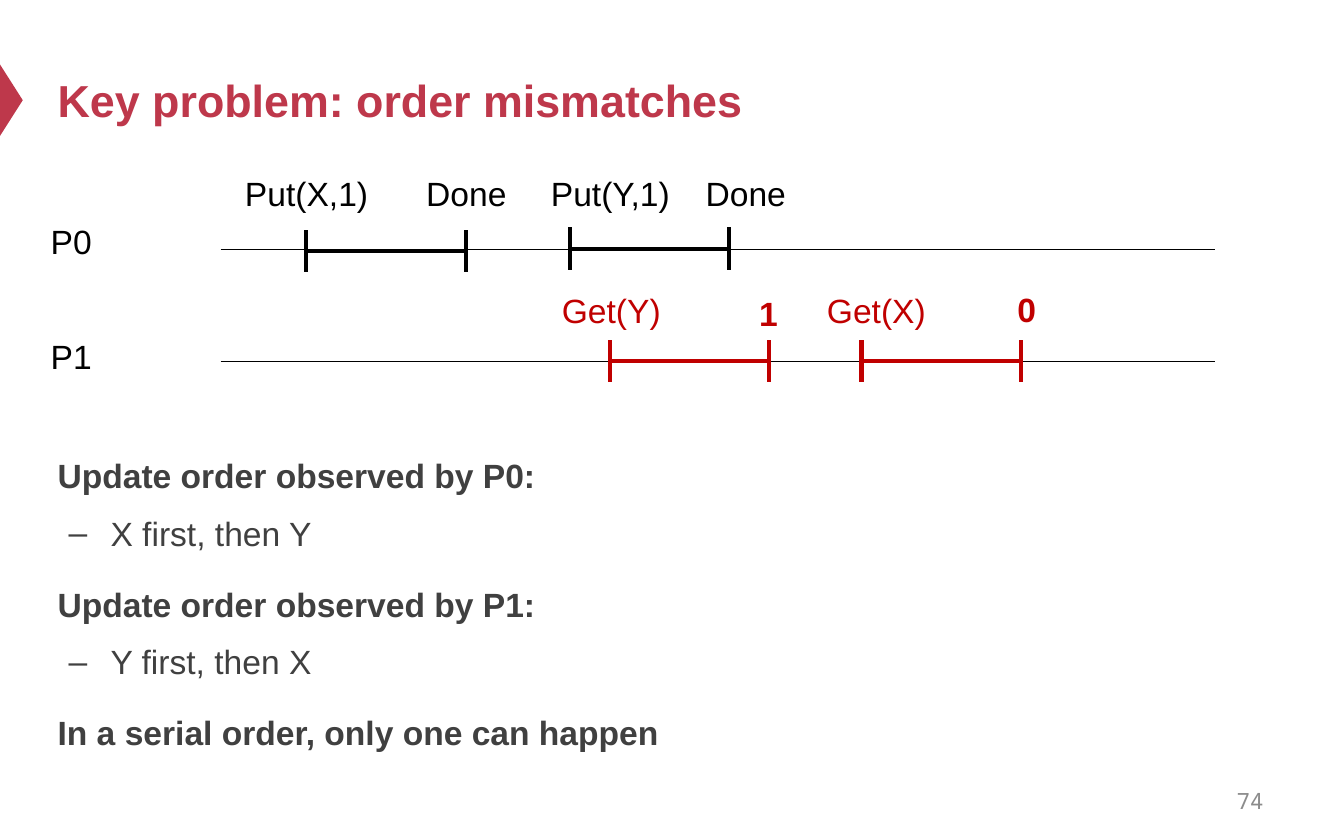
from dataclasses import dataclass
from typing import Optional

from lxml.etree import SubElement
from pptx import Presentation
from pptx.dml.color import RGBColor
from pptx.enum.shapes import MSO_CONNECTOR, MSO_SHAPE
from pptx.enum.text import MSO_ANCHOR, PP_ALIGN
from pptx.oxml.ns import qn
from pptx.util import Cm, Pt


@dataclass(frozen=True)
class Theme:
    font: str = "Arial"
    mono: str = "Noto Sans Mono"
    accent: str = "BE384B"
    body: str = "404040"
    put: str = "000000"
    get: str = "C00000"
    muted: str = "8C8C8C"
    title_size: int = 24
    text_size: int = 18
    number_size: int = 12
    axis_width: float = 0.75
    span_width: float = 2.25


@dataclass(frozen=True)
class Label:
    text: str
    x: float
    y: float
    color: str
    bold: bool = False


@dataclass(frozen=True)
class Operation:
    x: float
    y: float
    color: str
    start: Label
    end: Label


@dataclass(frozen=True)
class Process:
    name: str
    label_y: float
    axis_y: float


T = Theme()
AXIS_LEFT, AXIS_RIGHT = 4.17, 22.96
SPAN, TICK = 3.01, 0.4  # operation length and half tick height
LABEL_W, LABEL_H = 3.25, 1.02

PROCESSES = [Process("P0", 4.06, 4.72), Process("P1", 6.22, 6.83)]
OPERATIONS = [
    Operation(5.79, 4.75, T.put, Label("Put(X,1)", 4.17, 3.15, T.put),
              Label("Done", 7.19, 3.15, T.put)),
    Operation(10.77, 4.7, T.put, Label("Put(Y,1)", 9.91, 3.15, T.put),
              Label("Done", 12.47, 3.15, T.put)),
    Operation(11.53, 6.83, T.get, Label("Get(Y)", 9.93, 5.36, T.get),
              Label("1", 12.9, 5.41, T.get, True)),
    Operation(16.28, 6.83, T.get, Label("Get(X)", 14.94, 5.36, T.get),
              Label("0", 17.78, 5.33, T.get, True)),
]
# Each statement with its optional dashed detail
STATEMENTS = [
    ("Update order observed by P0:", "X first, then Y"),
    ("Update order observed by P1:", "Y first, then X"),
    ("In a serial order, only one can happen", None),
]


def format_font(font, size: float, color: str, bold: bool = False, name: str = T.font) -> None:
    for key, value in {"name": name, "size": Pt(size), "bold": bold}.items():
        setattr(font, key, value)
    font.color.rgb = RGBColor.from_string(color)


def add_frame(s, x: float, y: float, w: float, h: float, anchor=MSO_ANCHOR.TOP):
    tf = s.shapes.add_textbox(Cm(x), Cm(y), Cm(w), Cm(h)).text_frame
    tf.word_wrap = True
    tf.vertical_anchor = anchor
    return tf


def add_text(s, text: str, x: float, y: float, w: float, h: float, size: float, color: str,
             bold: bool = False, name: str = T.font, align=PP_ALIGN.LEFT,
             anchor=MSO_ANCHOR.TOP) -> None:
    p = add_frame(s, x, y, w, h, anchor).paragraphs[0]
    p.alignment = align
    r = p.add_run()
    r.text = text
    format_font(r.font, size, color, bold, name)


def add_label(s, label: Label) -> None:
    add_text(s, label.text, label.x, label.y, LABEL_W, LABEL_H, T.text_size, label.color,
             label.bold, align=PP_ALIGN.CENTER)


def add_line(parent, x1: float, y1: float, x2: float, y2: float, color: str, width: float) -> None:
    c = parent.shapes.add_connector(MSO_CONNECTOR.STRAIGHT, Cm(x1), Cm(y1), Cm(x2), Cm(y2))
    c.line.color.rgb = RGBColor.from_string(color)
    c.line.width = Pt(width)
    SubElement(c._element.spPr, qn("a:effectLst"))


def add_operation(s, op: Operation) -> None:
    group = s.shapes.add_group_shape()
    right = op.x + SPAN
    for x in (op.x, right):
        add_line(group, x, op.y - TICK, x, op.y + TICK, op.color, T.span_width)
    add_line(group, op.x, op.y, right, op.y, op.color, T.span_width)
    add_label(s, op.start)
    add_label(s, op.end)


def add_statement(tf, text: str, detail: bool, first: bool) -> None:
    p = tf.paragraphs[0] if first else tf.add_paragraph()
    p.line_spacing = 1.2
    if not first:
        p.space_before = Pt(5 if detail else 12)
    if detail:
        p.level = 1
        pPr = p._p.get_or_add_pPr()
        pPr.set("marL", str(Cm(1)))
        pPr.set("indent", str(Cm(-0.79)))
        SubElement(pPr, qn("a:buFont")).set("typeface", T.font)
        SubElement(pPr, qn("a:buChar")).set("char", "–")
    r = p.add_run()
    r.text = text
    format_font(r.font, T.text_size, T.body, not detail)


def add_statements(s, statements: list[tuple[str, Optional[str]]]) -> None:
    tf = add_frame(s, 0.84, 8.33, 22.86, 6.91)
    for i, (heading, detail) in enumerate(statements):
        add_statement(tf, heading, False, i == 0)
        if detail:
            add_statement(tf, detail, True, False)


def main() -> None:
    prs = Presentation()
    prs.slide_width, prs.slide_height = Cm(25.4), Cm(15.88)
    s = prs.slides.add_slide(prs.slide_layouts[6])

    # Title with its edge marker
    sp = s.shapes.add_shape(MSO_SHAPE.ISOSCELES_TRIANGLE, Cm(-0.46), Cm(1.68), Cm(1.35), Cm(0.43))
    sp.rotation = 90
    sp.shadow.inherit = False
    sp.fill.solid()
    sp.fill.fore_color.rgb = RGBColor.from_string(T.accent)
    sp.line.fill.background()
    add_text(s, "Key problem: order mismatches", 0.84, 0.64, 22.86, 2.49, T.title_size,
             T.accent, True, anchor=MSO_ANCHOR.MIDDLE)

    # Timelines
    for process in PROCESSES:
        add_line(s, AXIS_LEFT, process.axis_y, AXIS_RIGHT, process.axis_y, T.put, T.axis_width)
        add_text(s, process.name, 0.71, process.label_y, 1.8, LABEL_H, T.text_size, T.put)
    for op in OPERATIONS:
        add_operation(s, op)

    # Conclusions and slide number
    add_statements(s, STATEMENTS)
    add_text(s, "74", 18.21, 14.71, 5.92, 0.84, T.number_size, T.muted, name=T.mono,
             align=PP_ALIGN.RIGHT, anchor=MSO_ANCHOR.MIDDLE)

    prs.save("out.pptx")


if __name__ == "__main__":
    main()
